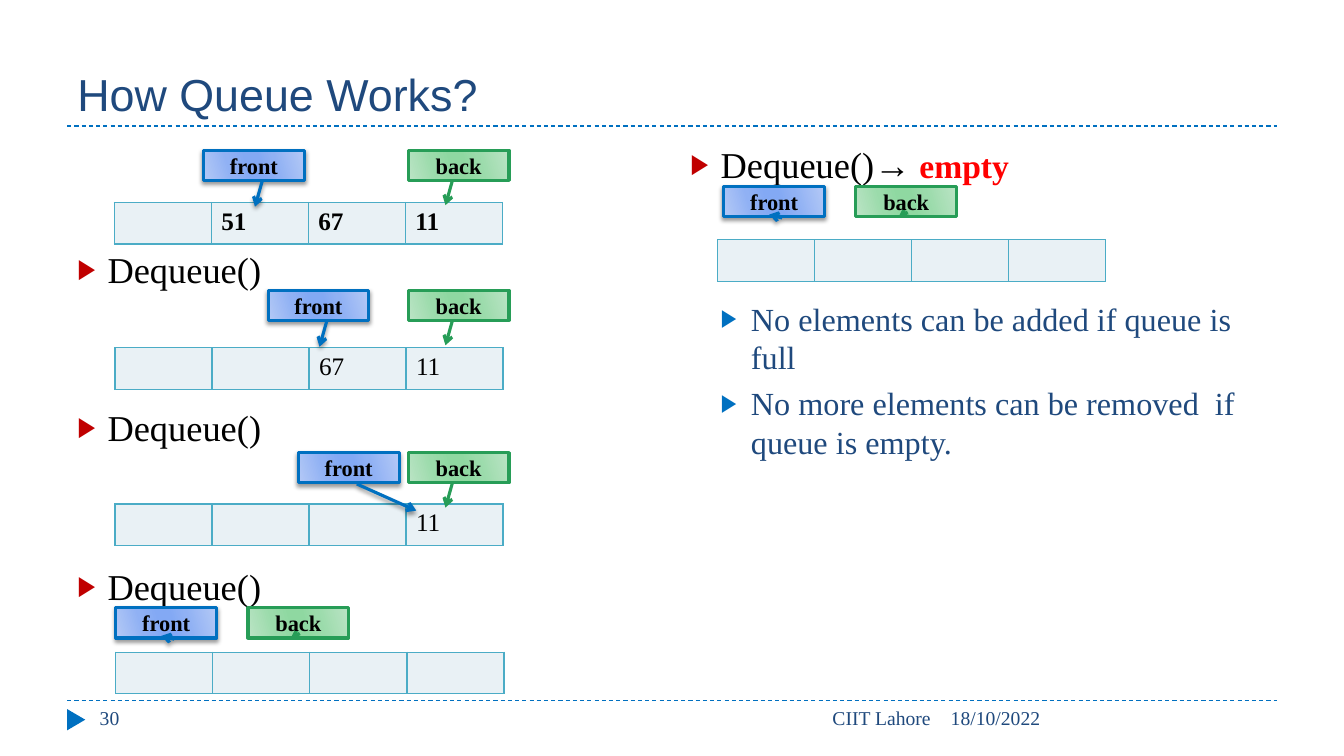
"""Build the slide that shows how dequeuing moves the front of a queue."""
from lxml.etree import fromstring
from pptx import Presentation
from pptx.dml.color import RGBColor
from pptx.enum.dml import MSO_LINE
from pptx.enum.shapes import MSO_CONNECTOR, MSO_SHAPE
from pptx.enum.text import MSO_ANCHOR, MSO_AUTO_SIZE, PP_ALIGN
from pptx.util import Inches, Pt

THEME = {
    "blue": "0070C0", "green": "279D57", "navy": "1F497D", "red": "FF0000",
    "black": "000000", "bullet": "C00000", "cell": "E9F1F5", "border": "4BACC6",
    "front": ("B4C9F6", "90B1F4", "83A9F4", "83A9F4", "90B1F4", "B4C9F6"),
    "back": ("BBE4C5", "9BDBAB", "8FD8A1", "8FD8A1", "9BDBAB", "BBE4C5"),
    "title": {"name": "Arial", "size": Pt(32), "bold": False},
    "list": {"name": "Times New Roman", "size": Pt(26), "bold": False},
    "empty": {"name": "Times New Roman", "size": Pt(24), "bold": True},
    "note": {"name": "Times New Roman", "size": Pt(23), "bold": False},
    "cell_text": {"name": "Times New Roman", "size": Pt(18), "bold": False},
    "cell_bold": {"name": "Times New Roman", "size": Pt(18), "bold": True},
    "label": {"name": "Times New Roman", "size": Pt(16), "bold": True},
    "footer": {"name": "Times New Roman", "size": Pt(14), "bold": False},
}
NAMESPACE = 'xmlns:a="http://schemas.openxmlformats.org/drawingml/2006/main"'

presentation = Presentation()
presentation.slide_width, presentation.slide_height = Inches(13.33), Inches(7.5)
column, row = presentation.slide_width / 100, presentation.slide_height / 100
slide = presentation.slides.add_slide(presentation.slide_layouts[3])
shapes = slide.shapes


def area(left, top, width, height):
    """Turn grid columns and rows into lengths."""
    return [int(left * column), int(top * row), int(width * column), int(height * row)]


def write(paragraph, text, style, color):
    """Add a run in one of the theme's styles."""
    run = paragraph.add_run()
    run.text = text
    for name, value in THEME[style].items():
        setattr(run.font, name, value)
    run.font.color.rgb = RGBColor.from_string(THEME[color])


for rule_top in (16.67, 92.67):
    left, top, width, _ = area(5, rule_top, 90, 0)
    rule = shapes.add_connector(MSO_CONNECTOR.STRAIGHT, left, top, left + width, top)
    rule.line.color.rgb = RGBColor.from_string(THEME["blue"])
    rule.line.width, rule.line.dash_style = Pt(0.75), MSO_LINE.DASH
    rule._element.spPr.append(fromstring(f"<a:effectLst {NAMESPACE}/>"))

marker = shapes.add_shape(MSO_SHAPE.ISOSCELES_TRIANGLE, *area(4.88, 94, 1.58, 2.4))
marker.rotation, marker.shadow.inherit = 90, False
marker.fill.solid()
marker.fill.fore_color.rgb = RGBColor.from_string(THEME["blue"])
marker.line.fill.background()

for text, left, width, alignment in (
    ("18/10/2022", 70, 25, PP_ALIGN.LEFT),
    ("CIIT Lahore", 31.7, 38.3, PP_ALIGN.RIGHT),
    ("30", 6.68, 21.7, PP_ALIGN.LEFT),
):
    footer = shapes.add_textbox(*area(left, 92.67, width, 5.33))
    footer.text_frame.word_wrap = True
    paragraph = footer.text_frame.paragraphs[0]
    paragraph.alignment = alignment
    write(paragraph, text, "footer", "navy")

title, left_body, right_body = slide.placeholders
for placeholder, place, anchor in (
    (title, (5, 2.27, 90, 14.4), MSO_ANCHOR.BOTTOM),
    (left_body, (5, 32, 44.4, 57.73), MSO_ANCHOR.TOP),
    (right_body, (50.62, 18.13, 44.4, 72), MSO_ANCHOR.TOP),
):
    for name, value in zip(("left", "top", "width", "height"), area(*place)):
        setattr(placeholder, name, value)
    frame = placeholder.text_frame
    frame.auto_size, frame.vertical_anchor = MSO_AUTO_SIZE.NONE, anchor
title.text_frame.paragraphs[0].alignment = PP_ALIGN.LEFT
write(title.text_frame.paragraphs[0], "How Queue Works?", "title", "navy")

dequeue = [("Dequeue()", "list", "black")]
emptied = [("Dequeue()→", "list", "black"), (" empty", "empty", "red")]
full_note = [("No elements can be added if queue is full", "note", "navy")]
empty_note = [("No more elements can be removed  if queue is empty.", "note", "navy")]
for body, items in (
    (left_body, [(dequeue, 0, 0), (dequeue, 0, 82), (dequeue, 0, 82)]),
    (right_body, [(emptied, 0, 0), (full_note, 1, 81), (empty_note, 1, 5)]),
):
    for index, (runs, level, gap) in enumerate(items):
        frame = body.text_frame
        paragraph = frame.add_paragraph() if index else frame.paragraphs[0]
        paragraph.level, paragraph.space_before = level, Pt(gap)
        properties = paragraph._p.get_or_add_pPr()
        properties.set("marL", str(Inches(0.3) * (level + 1)))
        properties.set("indent", str(-Inches(0.3)))
        bullet_color = THEME["blue" if level else "bullet"]
        for bullet in (
            f'<a:buClr {NAMESPACE}><a:srgbClr val="{bullet_color}"/></a:buClr>',
            f'<a:buSzPct {NAMESPACE} val="76000"/>',
            f'<a:buChar {NAMESPACE} char="▶"/>',
        ):
            properties.append(fromstring(bullet))
        for text, style, color in runs:
            write(paragraph, text, style, color)

near, far, inside = (1.87, 0.49), (1.92, -0.17), (0.93, 0.55)
back_near, back_inside = (1.82, 0.63), (1.03, 0.58)
queues = (
    (8.5, 26.8, ("", "51", "67", "11"), "cell_bold", 19.87, 15.15, near, 30.37, back_near),
    (8.55, 46, ("", "", "67", "11"), "cell_text", 38.4, 19.95, near, 30.37, back_near),
    (8.55, 66.67, ("", "", "", "11"), "cell_text", 59.87, 22.2, far, 30.37, back_near),
    (8.62, 86.27, ("",) * 4, "cell_text", 80.4, 8.62, inside, 18.45, back_inside),
    (53.4, 31.73, ("",) * 4, "cell_text", 24.67, 53.85, inside, 63.68, back_inside),
)
for (left, top, values, style, label_top,
     front_left, front_tip, back_left, back_tip) in queues:
    table = shapes.add_table(1, 4, *area(left, top, 28.88, 5.47)).table
    for cell, value in zip(table.rows[0].cells, values):
        properties = cell._tc.get_or_add_tcPr()
        for side in "LRTB":
            properties.append(fromstring(
                f'<a:ln{side} {NAMESPACE} w="{Pt(1)}"><a:solidFill>'
                f'<a:srgbClr val="{THEME["border"]}"/></a:solidFill></a:ln{side}>'))
        cell.fill.solid()
        cell.fill.fore_color.rgb = RGBColor.from_string(THEME["cell"])
        if value:
            write(cell.text_frame.paragraphs[0], value, style, "black")

    for text, label_left, base, tip, line_color in (
        ("front", front_left, (1.04, 0.42), front_tip, "blue"),
        ("back", back_left, (0.99, 0.56), back_tip, "green"),
    ):
        label = shapes.add_shape(
            MSO_SHAPE.LINE_CALLOUT_1, *area(label_left, label_top, 7.5, 4))
        label._element.spPr.xfrm.set("flipH", "1")
        for index, value in enumerate(base + tip):
            label.adjustments[index] = value
        label.fill.gradient()
        label.fill.gradient_angle = 344
        stops = label._element.spPr.find(".//{*}gsLst")
        stops[:] = [
            fromstring(f'<a:gs {NAMESPACE} pos="{share}000"><a:srgbClr val="{color}"/></a:gs>')
            for share, color in zip((0, 30, 45, 55, 73, 100), THEME[text])
        ]
        label.line.color.rgb = RGBColor.from_string(THEME[line_color])
        label.line.width = Pt(2.25)
        label.line._get_or_add_ln().append(
            fromstring(f'<a:tailEnd {NAMESPACE} type="arrow"/>'))
        label.shadow.inherit = False
        if text == "front":
            label._element.spPr.find("{*}effectLst").append(fromstring(
                f'<a:outerShdw {NAMESPACE} blurRad="{Pt(3)}" dist="{Pt(2)}" dir="5400000">'
                f'<a:srgbClr val="{THEME["black"]}"><a:alpha val="40000"/></a:srgbClr>'
                '</a:outerShdw>'))
        label.text_frame.vertical_anchor = MSO_ANCHOR.MIDDLE
        label.text_frame.paragraphs[0].alignment = PP_ALIGN.CENTER
        write(label.text_frame.paragraphs[0], text, "label", "black")

presentation.save("out.pptx")
